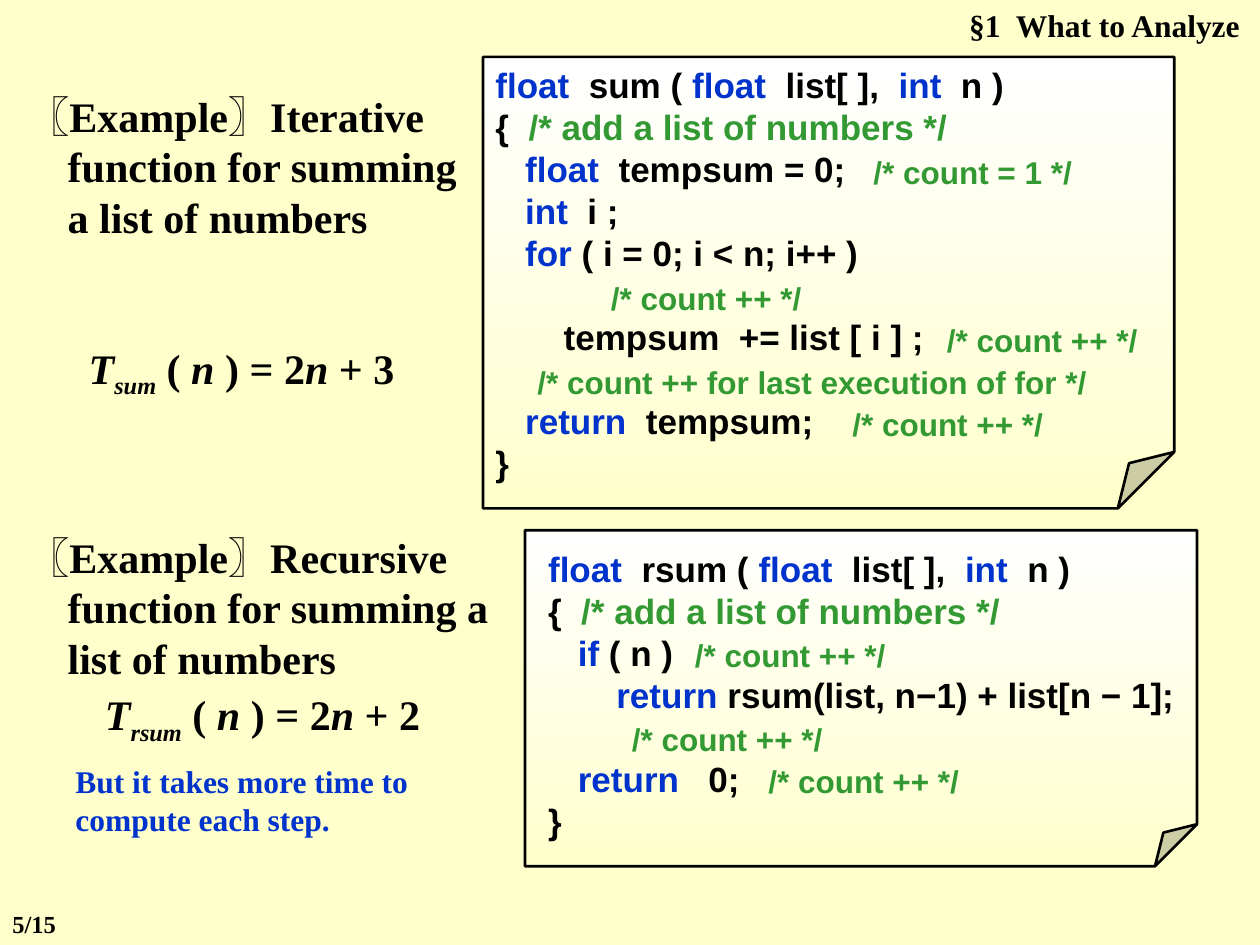
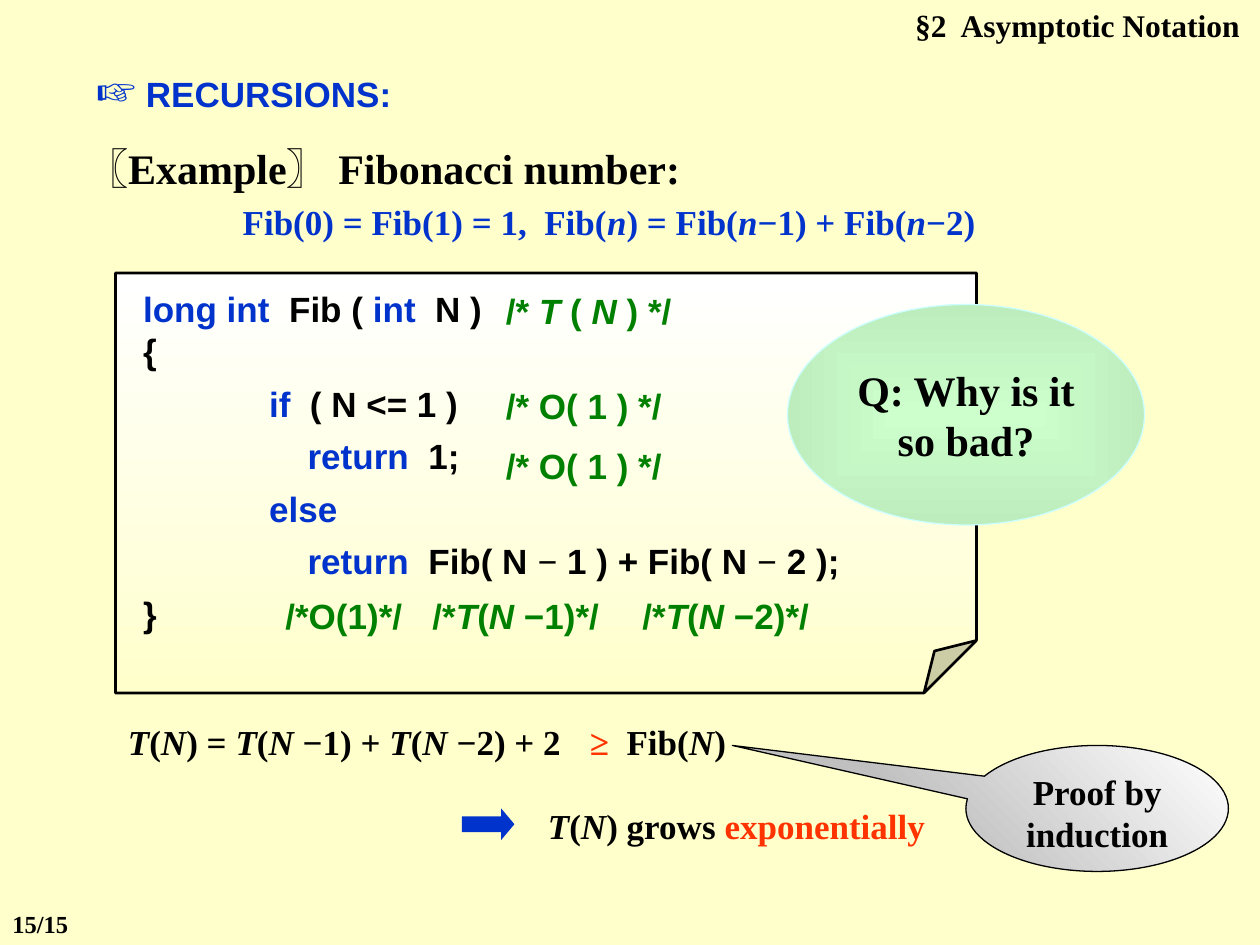
from lxml import etree
from pptx import Presentation
from pptx.dml.color import RGBColor
from pptx.enum.shapes import MSO_SHAPE as Preset
from pptx.enum.text import MSO_ANCHOR as Anchor, MSO_AUTO_SIZE as AutoSize, PP_ALIGN as Align
from pptx.oxml.ns import qn
from pptx.util import Pt

COLORS = {
    "black": "000000", "white": "FFFFFF", "paper": "FFFFCC", "keyword": "0033CC",
    "count": "339933", "cost": "008000", "alert": "FF3300", "silver": "C0C0C0",
    "mint": "CCFFCC", "leaf": "BDECBD", "ice": "CCFFFF",
}
RGB = {name: RGBColor.from_string(value) for name, value in COLORS.items()}
SERIF, SANS = "Times New Roman", "Arial"
COLOR_MARKS = {"`": "keyword", "^": "count", "#": "alert"}
MARKS = "`^#_~$"


def write(paragraph, markup, size, font=SERIF, color="black", align=Align.LEFT,
          left=0, hang=0, before=0, after=0):
    paragraph.alignment = align
    paragraph.space_before, paragraph.space_after = Pt(before), Pt(after)
    base = paragraph.font
    base.size, base.name, base.bold = Pt(size), font, True
    base.color.rgb = RGB[color]
    props = paragraph._p.get_or_add_pPr()
    props.set("marL", str(Pt(left)))
    props.set("indent", str(Pt(-hang)))
    props.find(qn("a:defRPr")).addprevious(etree.Element(qn("a:buNone")))
    active, piece = set(), ""
    for char in markup + "\0":
        if char not in MARKS + "\0":
            piece += char
            continue
        if piece:
            run = paragraph.add_run()
            run.text = piece
            for mark in active & set(COLOR_MARKS):
                run.font.color.rgb = RGB[COLOR_MARKS[mark]]
            if "_" in active:
                run.font.italic = True
            if "~" in active:
                run.font._element.set("baseline", "-25000")
            if "$" in active:
                run.font.name = SERIF
        piece = ""
        active ^= {char}


def place(holder, x, y, w, h, preset=None):
    if hasattr(holder, "shapes"):
        if preset is None:
            item = holder.shapes.add_textbox(Pt(x), Pt(y), Pt(w), Pt(h))
        else:
            item = holder.shapes.add_shape(preset, Pt(x), Pt(y), Pt(w), Pt(h))
            item.shadow.inherit = False
    else:
        item = holder
        item.left, item.top, item.width, item.height = Pt(x), Pt(y), Pt(w), Pt(h)
    item.text_frame.word_wrap = True
    item.text_frame.auto_size = AutoSize.NONE
    item.text_frame.vertical_anchor = Anchor.TOP
    return item


prs = Presentation()
prs.slide_width, prs.slide_height = Pt(720), Pt(540)
backdrop = prs.slide_master.background.fill
backdrop.solid()
backdrop.fore_color.rgb = RGB["paper"]

slides = []
for layout, heading, page in [(3, "§1  What to Analyze", "5/15"),
                              (1, "§2  Asymptotic Notation", "15/15")]:
    slide = prs.slides.add_slide(prs.slide_layouts[layout])
    title = place(slide.shapes.title, 480, 0, 240, 29)
    title.text_frame.margin_right = Pt(11.5)
    write(title.text_frame.paragraphs[0], heading, 18, align=Align.RIGHT)
    write(place(slide, 0, 516, 60, 24).text_frame.paragraphs[0], page, 14)
    slides.append(slide)
analysis, recursion = slides

for index, y, width, example in [
        (1, 48, 274, "〖Example〗Iterative function for summing a list of numbers"),
        (2, 300, 306, "〖Example〗Recursive function for summing a list of numbers")]:
    body = place(analysis.placeholders[index], 8.5, y, width, 94)
    write(body.text_frame.paragraphs[0], example, 24, left=23, hang=23)

fibonacci = place(recursion.placeholders[1], 42, 78, 612, 65).text_frame
write(fibonacci.paragraphs[0], "〖Example〗 Fibonacci number:", 24, left=23, hang=23)
write(fibonacci.add_paragraph(),
      "Fib(0) = Fib(1) = 1,  Fib(_n_) = Fib(_n_−1) + Fib(_n_−2)",
      20, color="keyword", align=Align.CENTER, left=23, hang=23, before=4)

SUM_CODE = [
    (0, "`float`  sum ( `float`  list[ ],  `int`  n )"),
    (0, "{  ^/* add a list of numbers */^"),
    (17, "`float`  tempsum = 0;"),
    (17, "`int`  i ;"),
    (17, "`for` ( i = 0; i < n; i++ )"),
    None,
    (39, "tempsum  += list [ i ] ;"),
    None,
    (17, "`return`  tempsum;"),
    (0, "}"),
]
RSUM_CODE = [
    (0, "`float`  rsum ( `float`  list[ ],  `int`  n )"),
    (0, "{  ^/* add a list of numbers */^"),
    (17, "`if` ( n )"),
    (39, "`return` rsum(list, n−1) + list[n − 1];"),
    None,
    (17, "`return`   0;"),
    (0, "}"),
]
FIB_CODE = [
    (0, "`long int`  Fib ( `int`  N )"),
    (0, "{"),
    (72, "`if`  ( N <= 1 )"),
    (94, "`return`  1;"),
    (72, "`else`"),
    (94, "`return`  Fib( N $−$ 1 ) + Fib( N $−$ 2 );"),
    (0, "}"),
]
LINE_PITCH = 24
for slide, area, inset, anchor, gap, code in [
        (analysis, (276, 32.5, 395, 258), (7.2, 3.6), Anchor.TOP, 0, SUM_CODE),
        (analysis, (300, 303, 384, 192), (13.2, 9.6), Anchor.TOP, 0, RSUM_CODE),
        (recursion, (66, 156, 492, 240), (15.8, 3.6), Anchor.BOTTOM, 6, FIB_CODE)]:
    note = place(slide, *area, Preset.FOLDED_CORNER)
    fold = note._element.spPr.find(".//" + qn("a:avLst"))
    etree.SubElement(fold, qn("a:gd"), {"name": "adj", "fmla": "val 12500"})
    note.fill.gradient()
    note.fill.gradient_angle = 270
    for stop, name in zip(note.fill.gradient_stops, ("white", "paper")):
        stop.color.rgb = RGB[name]
    note.line.color.rgb, note.line.width = RGB["black"], Pt(1.5)
    frame = note.text_frame
    frame.vertical_anchor = anchor
    frame.margin_left, frame.margin_top = Pt(inset[0]), Pt(inset[1])
    frame.margin_right, frame.margin_bottom = Pt(0), Pt(3.6)
    before = 0
    for number, line in enumerate(code):
        if line is None:
            before = LINE_PITCH
            continue
        paragraph = frame.add_paragraph() if number else frame.paragraphs[0]
        write(paragraph, line[1], 20, SANS, left=line[0], before=before,
              after=gap if number else 0)
        before = 0

COUNT = "/* count ++ */"
for x, y, width, comment in [
        (492, 84, 132, "/* count = 1 */"), (342, 156, 132, COUNT),
        (534, 180, 132, COUNT),
        (300, 204, 348, "/* count ++ for last execution of for */"),
        (480, 228, 132, COUNT), (390, 360, 132, COUNT),
        (354, 408, 132, COUNT), (432, 432, 132, COUNT)]:
    write(place(analysis, x, y, width, 29).text_frame.paragraphs[0],
          comment, 18, SANS, "count")

for x, y, width, cost in [
        (282, 162, 132, "/* _T _( _N _) */"),
        (282, 216, 132, "/* O( 1 ) */"), (282, 250.5, 132, "/* O( 1 ) */"),
        (156, 336, 96, "/*O(1)*/"), (240, 336, 126, "/*_T_(_N _−1)*/"),
        (360, 336, 126, "/*_T_(_N _−2)*/")]:
    write(place(recursion, x, y, width, 31).text_frame.paragraphs[0],
          cost, 20, SANS, "cost")

sum_time = place(analysis, 24, 192, 228, 36).text_frame
write(sum_time.paragraphs[0], "_T~sum~_ (_ n_ ) = 2_n_ + 3", 24, align=Align.CENTER)
rsum_time = place(analysis, 36, 390, 228, 90).text_frame
write(rsum_time.paragraphs[0], "_T~rsum~_ (_ n_ ) = 2_n_ + 2", 24, align=Align.CENTER)
write(rsum_time.add_paragraph(), "But it takes more time to compute each step.",
      18, color="keyword", before=9)

topic = place(recursion, 48, 30, 222, 41).text_frame.paragraphs[0]
write(topic, "$☞$$ $RECURSIONS:", 20, SANS, "keyword", left=38, hang=38)
for run, size in zip(topic.runs, (28, 24)):
    run.font.size = Pt(size)

for x, y, width, formula in [
        (66, 408, 276, "_T_(_N_) = _T_(_N _−1) + _T_(_N _−2) + 2"),
        (330, 408, 114, "#≥  #Fib(_N_)"),
        (306, 456, 258, "_T_(_N_) grows #exponentially#")]:
    write(place(recursion, x, y, width, 31).text_frame.paragraphs[0], formula, 20)

proof = place(recursion, 552, 426, 150, 72, Preset.OVAL_CALLOUT)
proof.adjustments[0], proof.adjustments[1] = -1.39, -0.5
proof.fill.gradient()
proof.fill.gradient_angle = 45
proof.line.color.rgb, proof.line.width = RGB["black"], Pt(0.75)
write(proof.text_frame.paragraphs[0], "Proof by induction", 20, align=Align.CENTER)

arrow = place(recursion, 264, 462, 30, 18, Preset.RIGHT_ARROW)
arrow.adjustments[1] = 0.42
arrow.fill.solid()
arrow.fill.fore_color.rgb = RGB["keyword"]
arrow.line.fill.background()

question = place(recursion, 450, 174, 204, 126, Preset.OVAL)
question.fill.gradient()
question.line.color.rgb, question.line.width = RGB["ice"], Pt(0.75)
question.text_frame.vertical_anchor = Anchor.MIDDLE
question.text_frame.word_wrap = False
write(question.text_frame.paragraphs[0], "Q: Why is it", 24, align=Align.CENTER)
write(question.text_frame.add_paragraph(), "so bad?", 24, align=Align.CENTER)

for bubble, names in [(proof, ("silver", "white")), (question, ("mint", "leaf"))]:
    for stop, name in zip(bubble.fill.gradient_stops, names):
        stop.color.rgb = RGB[name]
linear = question._element.spPr.find(".//" + qn("a:lin"))
radial = etree.Element(qn("a:path"), {"path": "shape"})
etree.SubElement(radial, qn("a:fillToRect"), dict.fromkeys("ltrb", "50000"))
linear.getparent().replace(linear, radial)

prs.save("out.pptx")
